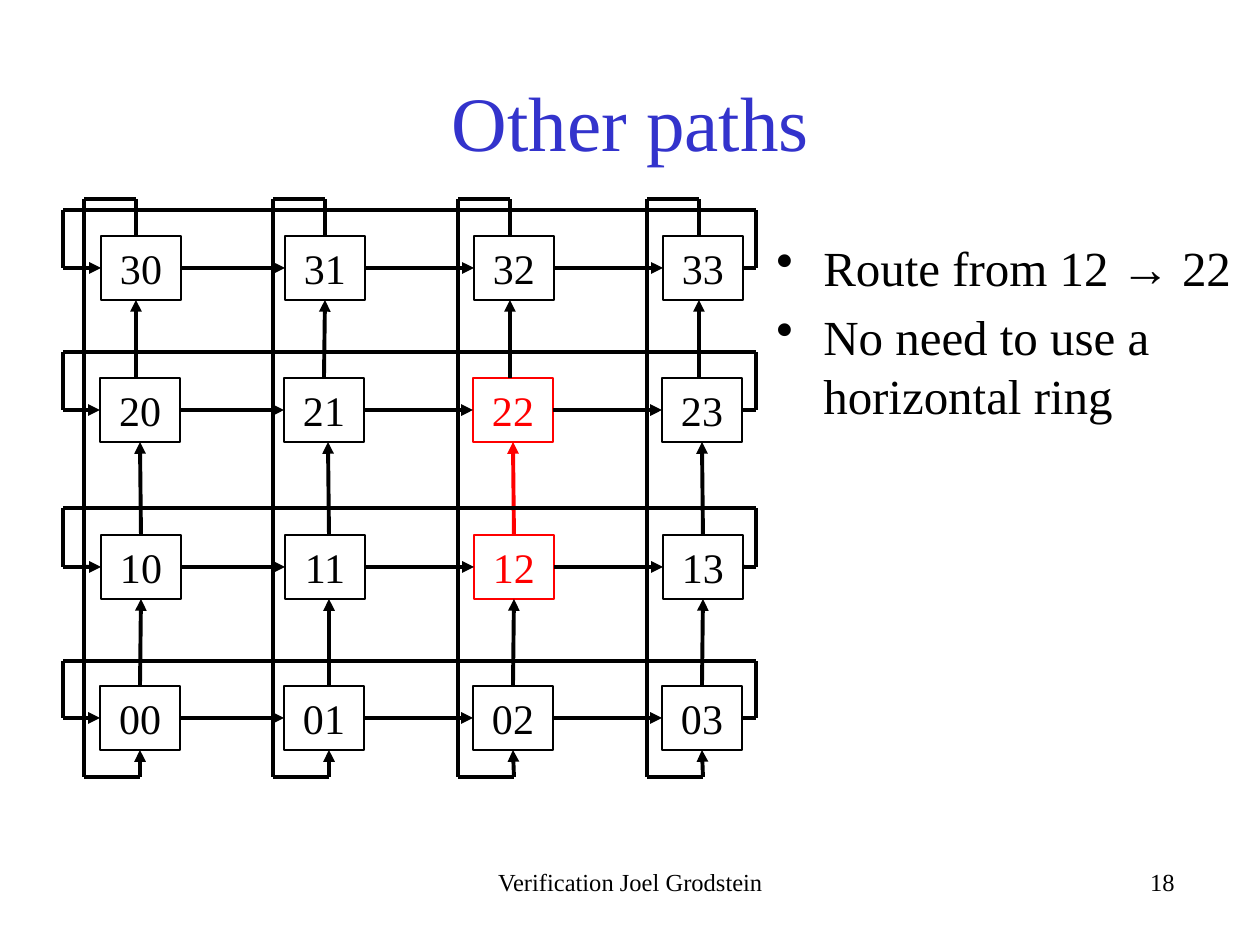
from typing import NamedTuple

from lxml.etree import SubElement
from pptx import Presentation
from pptx.dml.color import RGBColor
from pptx.enum.shapes import MSO_CONNECTOR, MSO_SHAPE
from pptx.enum.text import MSO_ANCHOR as Anchor, PP_ALIGN as Align
from pptx.oxml.ns import qn
from pptx.util import Emu, Pt

EMU_PER_PX = 914400 / 126
FONT = "Times New Roman"
BLACK, RED, WHITE, BLUE = "000000", "FF0000", "FFFFFF", "3333CC"
NODE_W, NODE_H = 80, 64
RING_LEFT, RING_RIGHT = 63, 756
RING_TOP, RING_BOTTOM = 199, 777
SNAP = 2  # largest gap at which a line is joined to a node's side
ROUTE = {"12", "22"}


class Row(NamedTuple):
    top: int
    ring_y: int
    shift: int


class Column(NamedTuple):
    left: int
    ring_x: int


class Caption(NamedTuple):
    text: str
    left: int
    top: int
    width: int
    height: int
    size: int
    color: str
    align: Align
    anchor: Anchor


# Rows run from the bottom of the mesh to the top, as the labels do
ROWS = [Row(686, 661, 0), Row(535, 508, 1), Row(378, 352, 0), Row(236, 210, 1)]
COLUMNS = [Column(100, 84), Column(284, 273), Column(473, 458), Column(662, 647)]
# Distance from a column's ring to the start and end of each upward link
LINK_OFFSETS = [(56, 56), (56, 55), (52, 52)]
WRAP_IN, WRAP_OUT = 56, 52

CAPTIONS = [
    Caption("Other paths", 95, 42, 1071, 157, 44, BLUE, Align.CENTER, Anchor.MIDDLE),
    Caption("Verification Joel Grodstein", 431, 861, 399, 63, 14, BLACK,
            Align.CENTER, Anchor.TOP),
    Caption("18", 788, 861, 399, 63, 14, BLACK, Align.RIGHT, Anchor.TOP),
]
BULLETS = ["Route from 12 → 22", "No need to use a horizontal ring"]


def px(length: float) -> Emu:
    return Emu(round(length * EMU_PER_PX))


def rgb(color: str) -> RGBColor:
    return RGBColor.from_string(color)


def add_run(paragraph, text: str, size: int, color: str) -> None:
    run = paragraph.add_run()
    run.text = text
    run.font.name = FONT
    run.font.size = Pt(size)
    run.font.color.rgb = rgb(color)


def add_caption(slide, caption: Caption) -> None:
    box = slide.shapes.add_textbox(px(caption.left), px(caption.top),
                                   px(caption.width), px(caption.height))
    frame = box.text_frame
    frame.word_wrap = True
    frame.vertical_anchor = caption.anchor
    frame.paragraphs[0].alignment = caption.align
    add_run(frame.paragraphs[0], caption.text, caption.size, caption.color)


def add_bullets(slide, items: list[str]) -> None:
    frame = slide.shapes.add_textbox(px(764), px(231), px(493), px(455)).text_frame
    frame.word_wrap = True
    for index, item in enumerate(items):
        paragraph = frame.add_paragraph() if index else frame.paragraphs[0]
        properties = paragraph._p.get_or_add_pPr()
        properties.set("marL", str(px(47)))
        properties.set("indent", str(-px(47)))
        if index:
            paragraph.space_before = Pt(6)
        SubElement(properties, qn("a:buChar"), char="•")
        add_run(paragraph, item, 28, BLACK)


class Mesh:
    def __init__(self, slide):
        self.shapes = slide.shapes
        self.ports = []  # (x, y, node, connection site)

    def add_node(self, label: str, left: int, top: int) -> None:
        color = RED if label in ROUTE else BLACK
        node = self.shapes.add_shape(MSO_SHAPE.RECTANGLE, px(left), px(top),
                                     px(NODE_W), px(NODE_H))
        node.shadow.inherit = False
        node.fill.solid()
        node.fill.fore_color.rgb = rgb(WHITE)
        node.line.color.rgb = rgb(color)
        node.line.width = Pt(1.5)
        frame = node.text_frame
        frame.word_wrap = False
        frame.vertical_anchor = Anchor.MIDDLE
        frame.paragraphs[0].alignment = Align.CENTER
        add_run(frame.paragraphs[0], label, 24, color)
        middle_x, middle_y = left + NODE_W // 2, top + NODE_H // 2
        sides = [(middle_x, top), (left, middle_y),
                 (middle_x, top + NODE_H), (left + NODE_W, middle_y)]
        self.ports += [(x, y, node, site) for site, (x, y) in enumerate(sides)]

    def add_line(self, start: tuple[int, int], end: tuple[int, int],
                 arrow: bool = False, color: str = BLACK) -> None:
        """Draw a line, joining each end to a node side whose middle it meets."""
        line = self.shapes.add_connector(MSO_CONNECTOR.STRAIGHT, px(start[0]),
                                         px(start[1]), px(end[0]), px(end[1]))
        line.line.color.rgb = rgb(color)
        line.line.width = Pt(2.25)
        if arrow:
            SubElement(line.line._get_or_add_ln(), qn("a:tailEnd"), type="triangle")
        SubElement(line._element.spPr, qn("a:effectLst"))
        for (x, y), connect in ((start, line.begin_connect), (end, line.end_connect)):
            for port_x, port_y, node, site in self.ports:
                if abs(x - port_x) <= SNAP and abs(y - port_y) <= SNAP:
                    connect(node, site)

    def add_path(self, points: list[tuple[int, int]]) -> None:
        """Draw a chain of lines with an arrowhead on the last one."""
        for index, (start, end) in enumerate(zip(points, points[1:])):
            self.add_line(start, end, arrow=index == len(points) - 2)

    def add_column_links(self, number: int, column: Column) -> None:
        for level, (out, into) in enumerate(LINK_OFFSETS):
            on_route = {f"{level}{number}", f"{level + 1}{number}"} <= ROUTE
            self.add_line((column.ring_x + out, ROWS[level].top),
                          (column.ring_x + into, ROWS[level + 1].top + NODE_H),
                          arrow=True, color=RED if on_route else BLACK)
        out_x, in_x = column.ring_x + WRAP_OUT, column.ring_x + WRAP_IN
        self.add_path([(out_x, ROWS[-1].top), (out_x, RING_TOP),
                       (column.ring_x, RING_TOP), (column.ring_x, RING_BOTTOM),
                       (in_x, RING_BOTTOM), (in_x, ROWS[0].top + NODE_H)])

    def add_row_links(self, row: Row) -> None:
        y = row.top + NODE_H // 2
        lefts = [column.left + row.shift for column in COLUMNS]
        for left, following in zip(lefts, lefts[1:]):
            self.add_line((left + NODE_W, y), (following, y), arrow=True)
        self.add_path([(lefts[-1] + NODE_W, y), (RING_RIGHT, y),
                       (RING_RIGHT, row.ring_y), (RING_LEFT, row.ring_y),
                       (RING_LEFT, y), (lefts[0], y)])


def main() -> None:
    deck = Presentation()
    deck.slide_width, deck.slide_height = px(1260), px(945)
    slide = deck.slides.add_slide(deck.slide_layouts[6])
    for caption in CAPTIONS:
        add_caption(slide, caption)
    add_bullets(slide, BULLETS)
    mesh = Mesh(slide)
    for level, row in enumerate(ROWS):
        for number, column in enumerate(COLUMNS):
            mesh.add_node(f"{level}{number}", column.left + row.shift, row.top)
    for number, column in enumerate(COLUMNS):
        mesh.add_column_links(number, column)
    for row in ROWS:
        mesh.add_row_links(row)
    deck.save("out.pptx")


if __name__ == "__main__":
    main()
